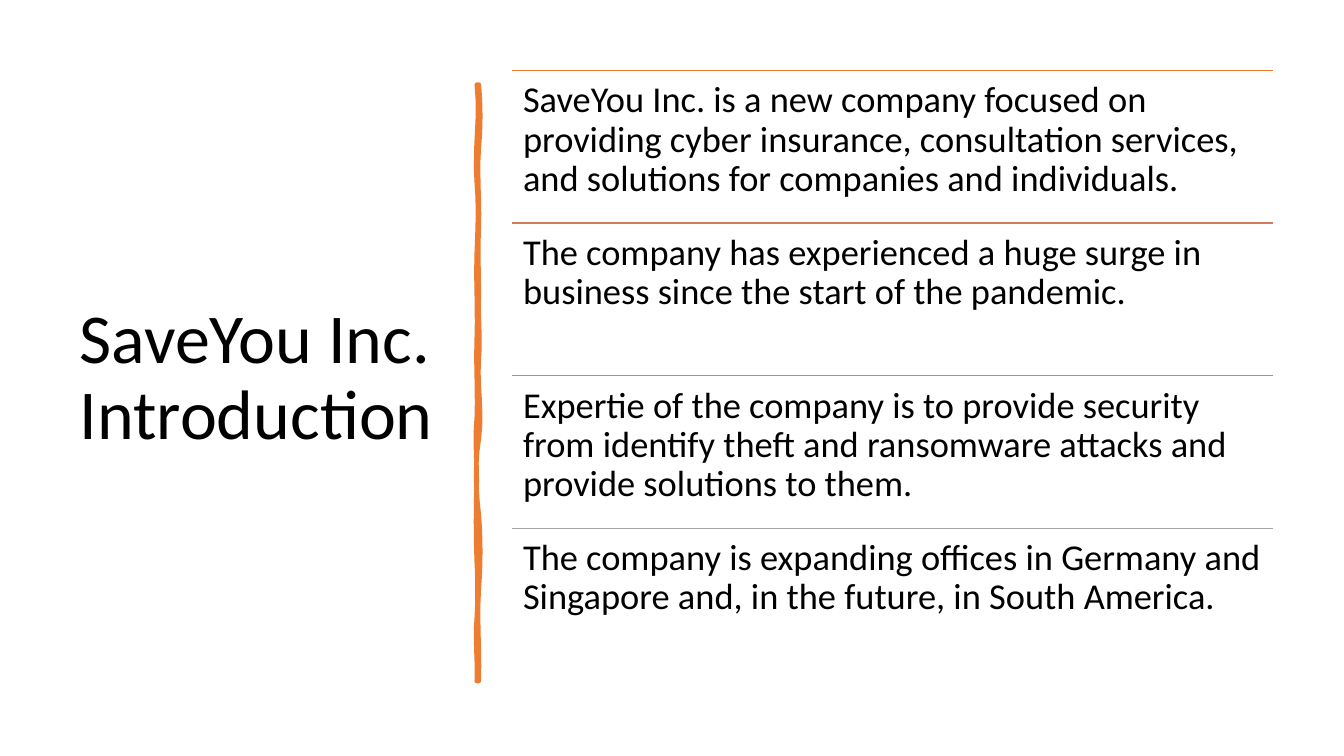
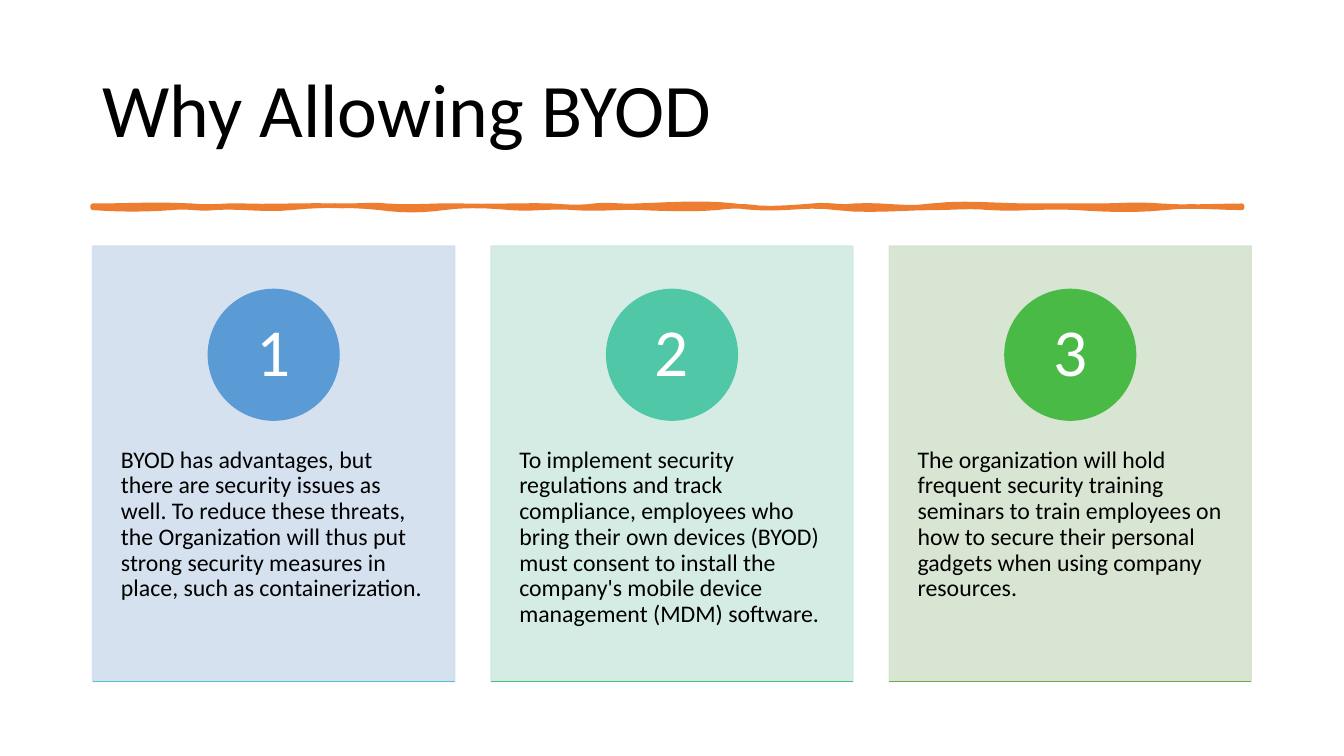
from lxml.etree import SubElement
from pptx import Presentation
from pptx.dml.color import RGBColor
from pptx.enum.shapes import MSO_CONNECTOR, MSO_SHAPE
from pptx.enum.text import MSO_ANCHOR, MSO_AUTO_SIZE, PP_ALIGN
from pptx.oxml.ns import qn
from pptx.util import Pt

FONT = "Calibri"
BLACK = RGBColor(0x00, 0x00, 0x00)
WHITE = RGBColor(0xFF, 0xFF, 0xFF)
ORANGE = RGBColor(0xED, 0x7D, 0x31)
CLAY = RGBColor(0xD1, 0x7B, 0x5C)
ROSE = RGBColor(0xB9, 0x8A, 0x82)
GRAY = RGBColor(0xA5, 0xA5, 0xA5)
BLUE = RGBColor(0x5B, 0x9B, 0xD5)
TEAL = RGBColor(0x50, 0xC8, 0xA7)
GREEN = RGBColor(0x4A, 0xBA, 0x46)
PALE_BLUE = RGBColor(0xD2, 0xDE, 0xEF)
PALE_TEAL = RGBColor(0xD0, 0xEA, 0xE1)
PALE_GREEN = RGBColor(0xD5, 0xE3, 0xCF)
CYAN = RGBColor(0x55, 0xC3, 0xCF)
JADE = RGBColor(0x4B, 0xC1, 0x74)
OLIVE = RGBColor(0x70, 0xAD, 0x47)


def set_text(sp, text, size, color=BLACK, align=PP_ALIGN.LEFT,
             anchor=MSO_ANCHOR.TOP, inset=(7.2, 3.6)):
    tf = sp.text_frame
    tf.text = text
    tf.word_wrap = True
    tf.auto_size = MSO_AUTO_SIZE.NONE
    tf.vertical_anchor = anchor
    tf.margin_left = tf.margin_right = Pt(inset[0])
    tf.margin_top = tf.margin_bottom = Pt(inset[1])
    p = tf.paragraphs[0]
    p.alignment = align
    p.line_spacing = 0.9
    p.font.name = FONT
    p.font.size = Pt(size)
    p.font.color.rgb = color


def add_rule(s, x, y, width, color):
    line = s.shapes.add_connector(MSO_CONNECTOR.STRAIGHT,
                                  Pt(x), Pt(y), Pt(x + width), Pt(y))
    line.line.color.rgb = color
    line.line.width = Pt(1)
    SubElement(line._element.spPr, qn("a:effectLst"))


prs = Presentation()
prs.slide_width, prs.slide_height = Pt(960), Pt(540)

# Each slide: title, title box, title size, and its brush stroke.
# A stroke runs out along one edge and back along the other; each curve is
# (end, first bend, second bend), with bends in units of 0.72 pt.
SLIDES = [
    ("SaveYou Inc. Introduction", (49.7, 50.4, 269.3, 440), 50,
     (342, 60.5, True, -1.44),
     [(45, 2, 2), (102, -2, 1), (151, -1, 0), (196, -1, 2),
      (253, -2, 4), (307, -4, -3), (360, 2, 2), (426, -2, 1)],
     [(381, 1, -2), (341, 1, 1), (283, -1, -1), (238, 0, -2),
      (181, 1, -1), (120, 1, -1), (70, 1, 2), (0, -3, 4)]),
    ("Why Allowing BYOD", (66.2, 28.8, 828, 104.4), 54,
     (66.2, 147, False, 1.44),
     [(71, 0, -2), (109, 2, -1), (172, 1, -1), (210, 1, -2),
      (265, 2, -1), (328, 1, -1), (358, 1, 2), (388, -2, 1),
      (459, -1, -4), (514, 4, 2), (544, -2, 2), (599, -2, 4),
      (670, -4, 0), (716, 0, 0), (763, 0, -2), (821, 2, 0)],
     [(766, 0, -3), (703, 3, 2), (640, -2, 2), (602, -2, 0),
      (531, 0, 4), (476, -4, 2), (446, -2, -2), (391, 2, 1),
      (344, -1, 2), (298, -2, 2), (251, -2, -3), (205, 3, 3),
      (142, -3, -3), (87, 3, -2), (57, 2, -2), (0, 2, 2)]),
]
STEPS = 6

# Titles and brush strokes
for title, box, size, (x, y, vertical, gap), out, back in SLIDES:
    s = prs.slides.add_slide(prs.slide_layouts[5])
    sp = s.shapes.title
    sp.left, sp.top, sp.width, sp.height = map(Pt, box)
    set_text(sp, title, size, anchor=MSO_ANCHOR.MIDDLE)

    points = []
    start = 0
    for base, edge in ((0, out), (gap, back)):
        points.append((start, base))
        for end, bend1, bend2 in edge:
            for i in range(1, STEPS + 1):
                t = i / STEPS
                bend = 3 * t * (1 - t) * ((1 - t) * bend1 + t * bend2)
                points.append((start + t * (end - start), base + 0.72 * bend))
            start = end
    if vertical:
        points = [(across, along) for along, across in points]
    points = [(Pt(x + dx), Pt(y + dy)) for dx, dy in points]
    builder = s.shapes.build_freeform(*points[0])
    builder.add_line_segments(points[1:], close=True)
    stroke = builder.convert_to_shape()
    stroke.shadow.inherit = False
    stroke.fill.solid()
    stroke.fill.fore_color.rgb = ORANGE
    stroke.line.color.rgb = ORANGE
    stroke.line.width = Pt(3.25)

intro, byod = prs.slides

# Introduction: ruled statements
STATEMENTS = [
    (ORANGE, "SaveYou Inc. is a new company focused on providing cyber "
     "insurance, consultation services, and solutions for companies and "
     "individuals."),
    (CLAY, "The company has experienced a huge surge in business since the "
     "start of the pandemic."),
    (ROSE, "Expertie of the company is to provide security from identify "
     "theft and ransomware attacks and provide solutions to them."),
    (GRAY, "The company is expanding offices in Germany and Singapore and, "
     "in the future, in South America."),
]
ROW_X, ROW_Y, ROW_W, ROW_H = 365.8, 50.4, 543.6, 109
for i, (color, text) in enumerate(STATEMENTS):
    y = ROW_Y + i * ROW_H
    add_rule(intro, ROW_X, y, ROW_W, color)
    sp = intro.shapes.add_textbox(Pt(ROW_X), Pt(y), Pt(ROW_W), Pt(ROW_H))
    set_text(sp, text, 26, inset=(7.8, 7.8))

# BYOD: numbered cards
CARDS = [
    (PALE_BLUE, BLUE, CYAN,
     "BYOD has advantages, but there are security issues as well. To reduce "
     "these threats, the Organization will thus put strong security measures "
     "in place, such as containerization."),
    (PALE_TEAL, TEAL, JADE,
     "To implement security regulations and track compliance, employees who "
     "bring their own devices (BYOD) must consent to install the company's "
     "mobile device management (MDM) software."),
    (PALE_GREEN, GREEN, OLIVE,
     "The organization will hold frequent security training seminars to train "
     "employees on how to secure their personal gadgets when using company "
     "resources."),
]
CARD_X, CARD_Y, CARD_W, CARD_H = 66.2, 175.7, 258.6, 311
PITCH, CIRCLE = 284.5, 93.4
for i, (pale, strong, base, text) in enumerate(CARDS):
    x = CARD_X + i * PITCH
    card = byod.shapes.add_shape(MSO_SHAPE.RECTANGLE, Pt(x), Pt(CARD_Y),
                                 Pt(CARD_W), Pt(CARD_H))
    circle = byod.shapes.add_shape(
        MSO_SHAPE.OVAL, Pt(x + (CARD_W - CIRCLE) / 2), Pt(CARD_Y + 31),
        Pt(CIRCLE), Pt(CIRCLE))
    for sp, color in ((card, pale), (circle, strong)):
        sp.shadow.inherit = False
        sp.fill.solid()
        sp.fill.fore_color.rgb = color
        sp.line.color.rgb = color
        sp.line.width = Pt(1)
    # Card fill and outline are 90% opaque
    for clr in card._element.spPr.iter(qn("a:srgbClr")):
        SubElement(clr, qn("a:alpha"), val="90000")
    set_text(circle, str(i + 1), 48, WHITE, PP_ALIGN.CENTER,
             MSO_ANCHOR.MIDDLE, (7.2, 0.7))
    sp = byod.shapes.add_textbox(Pt(x), Pt(293.8), Pt(CARD_W), Pt(186.5))
    set_text(sp, text, 17, inset=(20.2, 25.9))
    add_rule(byod, x, CARD_Y + CARD_H, CARD_W, base)

prs.save("out.pptx")
